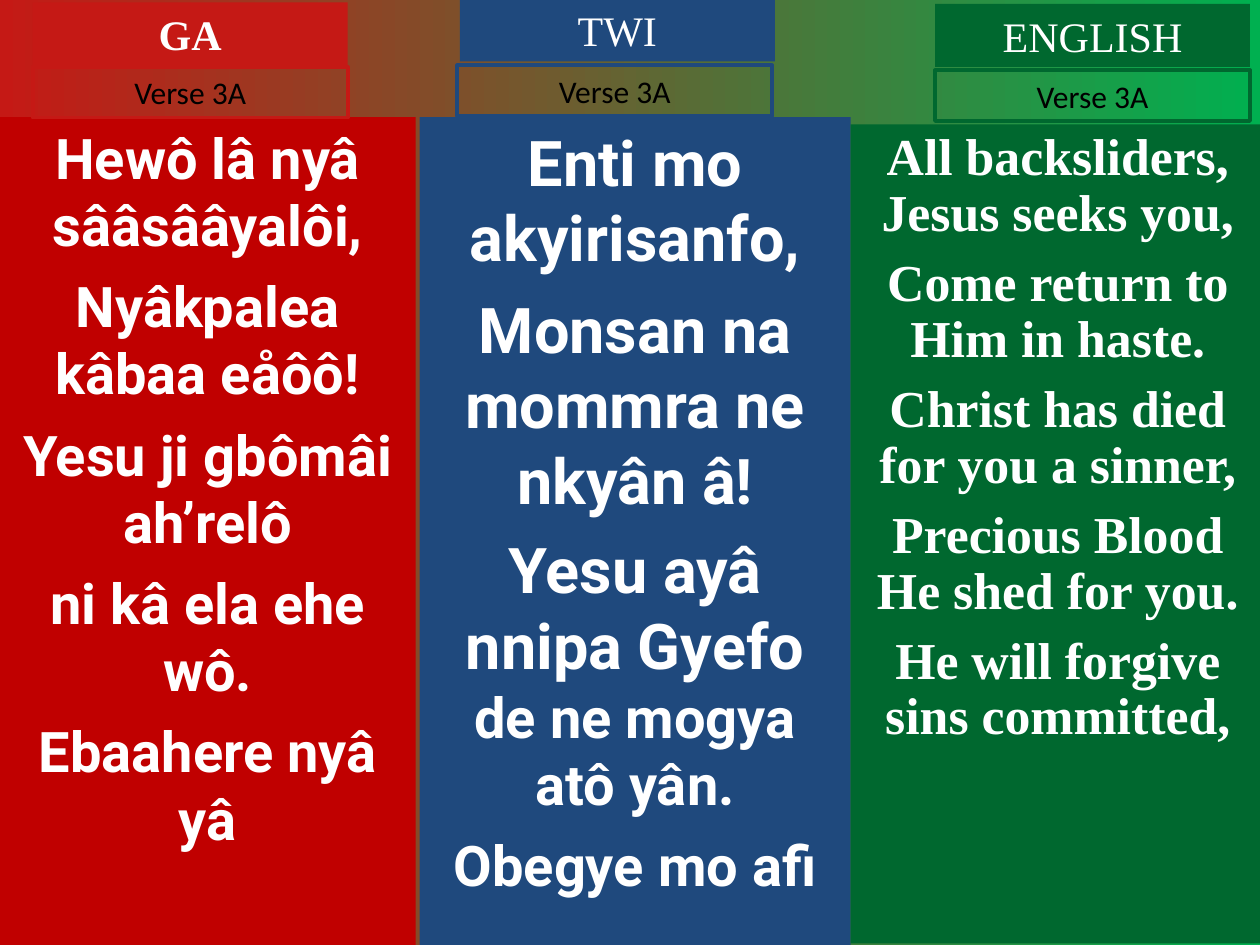
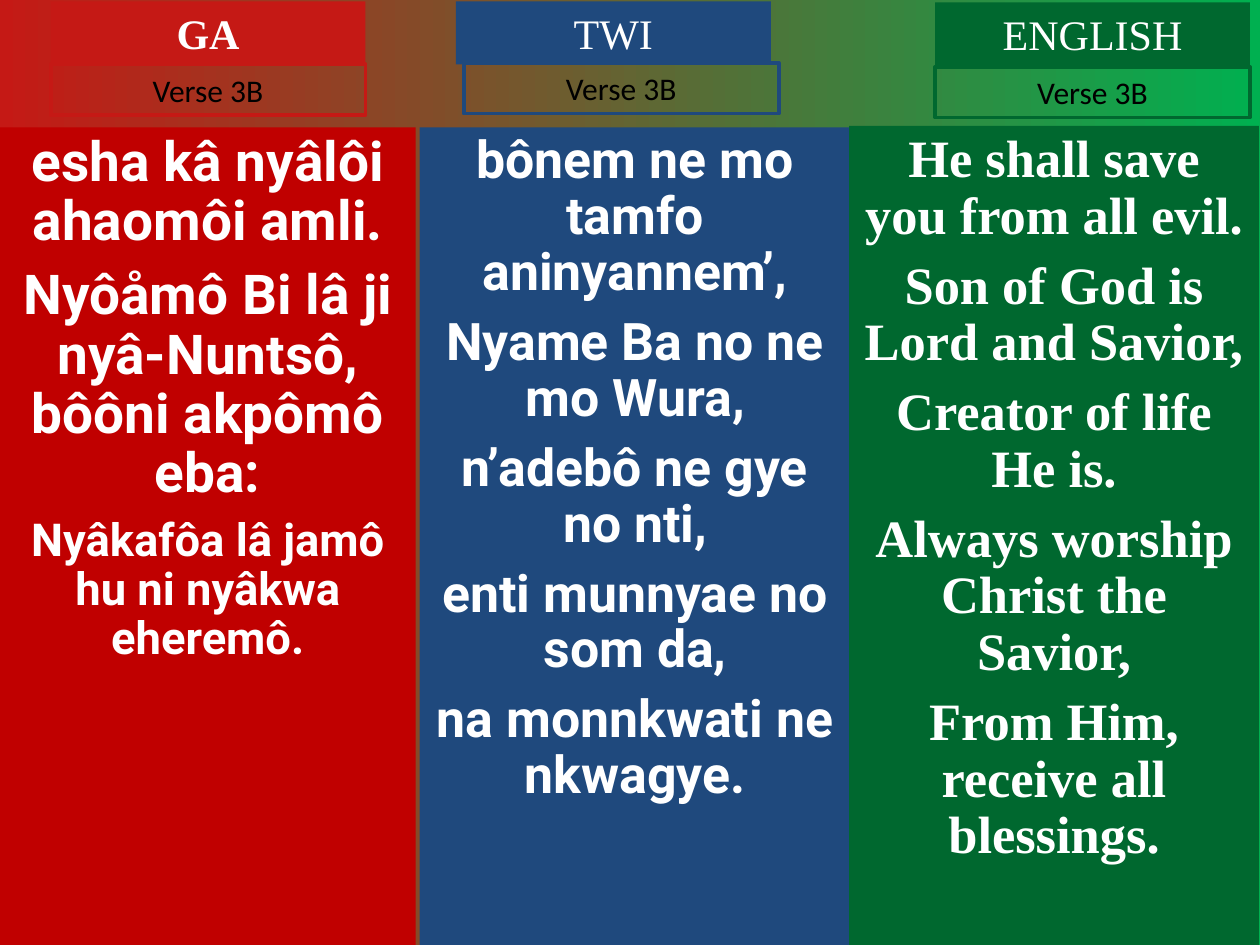
from pptx import Presentation
from pptx.dml.color import RGBColor
from pptx.enum.shapes import MSO_SHAPE
from pptx.enum.text import MSO_ANCHOR, MSO_AUTO_SIZE, PP_ALIGN
from pptx.util import Cm, Pt

# Theme: colours, type sizes and shared measures
THEME = {
    "red": RGBColor(0xC5, 0x19, 0x15),
    "deep_red": RGBColor(0xC0, 0x00, 0x00),
    "blue": RGBColor(0x1F, 0x49, 0x7D),
    "green": RGBColor(0x00, 0x68, 0x2F),
    "bright_green": RGBColor(0x00, 0xB0, 0x50),
    "white": RGBColor(0xFF, 0xFF, 0xFF),
    "black": RGBColor(0x00, 0x00, 0x00),
    "serif": "Times New Roman",
    "sans": "Roboto",
    "label": "Calibri",
    "heading_size": 24,
    "verse_size": 18,
    "frame_width": 2.25,
    "heading_box": (6.35, 1.27),
    "verse_box": (6.35, 1.02),
}

# Columns, left to right: heading, its colour, panel colour, lyric font, bold heading
LANGUAGES = [
    ("GA", THEME["red"], THEME["deep_red"], THEME["sans"], True),
    ("TWI", THEME["blue"], THEME["blue"], THEME["sans"], False),
    ("ENGLISH", THEME["green"], THEME["green"], THEME["serif"], False),
]

# Each lyric line is a list of (text, size) parts; gap is the share of the size left above it
VERSES = [
    ("Verse 3A", [
        {"panel": (0, 2.36, 8.38, 16.69), "heading": (0.66, 0.05), "verse": (0.66, 1.35),
         "spacing": 1.0, "gap": 0.25, "lines": [
            [("Hewô lâ nyâ sââsââyalôi,", 32)],
            [("Nyâkpalea kâbaa eåôô!", 32)],
            [("Yesu ji gbômâi ah’relô", 32)],
            [("ni kâ ela ehe wô.", 32)],
            [("Ebaahere nyâ yâ", 32)]]},
        {"panel": (8.46, 2.36, 8.69, 16.69), "heading": (9.27, -0.03), "verse": (9.22, 1.32),
         "spacing": 1.0, "gap": 0.25, "lines": [
            [("Enti mo akyirisanfo,", 36)],
            [("Monsan na mommra ne nkyân â!", 36)],
            [("Yesu ayâ nnipa Gyefo ", 36), ("de ne mogya atô yân.", 32)],
            [("Obegye mo afi", 32)]]},
        {"panel": (17.15, 2.51, 8.36, 16.51), "heading": (18.85, 0.08), "verse": (18.85, 1.42),
         "spacing": 0.9, "gap": 0.27, "lines": [
            [("All backsliders, Jesus seeks you,", 29.6)],
            [("Come return to Him in haste.", 29.6)],
            [("Christ has died for you a sinner,", 29.6)],
            [("Precious Blood He shed for you.", 29.6)],
            [("He will forgive sins committed,", 29.6)]]},
    ]),
    ("Verse 3B", [
        {"panel": (0, 2.57, 8.38, 16.48), "heading": (1.02, 0.03), "verse": (1.02, 1.3),
         "spacing": 0.9, "gap": 0.27, "lines": [
            [("esha kâ nyâlôi ahaomôi amli.", 31.4)],
            [("Nyôåmô Bi lâ ji nyâ-Nuntsô, bôôni akpômô eba:", 31.4)],
            [("Nyâkafôa lâ jamô hu ni nyâkwa eheremô.", 25.9)]]},
        {"panel": (8.46, 2.57, 8.69, 16.48), "heading": (9.19, 0.03), "verse": (9.35, 1.27),
         "spacing": 0.9, "gap": 0.27, "lines": [
            [("bônem ne mo tamfo aninyannem’,", 29.6)],
            [("Nyame Ba no ne mo Wura,", 29.6)],
            [("n’adebô ne gye no nti,", 29.6)],
            [("enti munnyae no som da,", 29.6)],
            [("na monnkwati ne nkwagye.", 29.6)]]},
        {"panel": (17.12, 2.54, 8.26, 16.54), "heading": (18.85, 0.05), "verse": (18.85, 1.35),
         "spacing": 0.9, "gap": 0.25, "lines": [
            [("He shall save you from all evil.", 30)],
            [("Son of God is Lord and Savior,", 30)],
            [("Creator of life He is.", 30)],
            [("Always worship Christ the Savior,", 30)],
            [("From Him, receive all blessings.", 30)]]},
    ]),
]


def apply_format(target, values):
    for attribute, value in values.items():
        setattr(target, attribute, value)


def add_block(slide, place, lines, font, ink, fill=None, frame=None,
              spacing=1.0, gap=0, fit=MSO_AUTO_SIZE.NONE):
    """Draw a rectangle with centred lines of text."""
    block = slide.shapes.add_shape(MSO_SHAPE.RECTANGLE, *map(Cm, place))
    block.shadow.inherit = False
    if fill is None:
        block.fill.background()
    else:
        block.fill.solid()
        block.fill.fore_color.rgb = fill
    if frame is None:
        block.line.fill.background()
    else:
        block.line.color.rgb = frame
        block.line.width = Pt(THEME["frame_width"])
    text = block.text_frame
    apply_format(text, {"word_wrap": True, "vertical_anchor": MSO_ANCHOR.TOP, "auto_size": fit})
    for number, parts in enumerate(lines):
        paragraph = text.add_paragraph() if number else text.paragraphs[0]
        above = round(parts[-1][1] * gap * 2) / 2 if number else 0
        apply_format(paragraph, {"alignment": PP_ALIGN.CENTER, "line_spacing": spacing,
                                 "space_before": Pt(above)})
        for words, size in parts:
            run = paragraph.add_run()
            run.text = words
            apply_format(run.font, {**font, "size": Pt(size)})
            run.font.color.rgb = ink


deck = Presentation()
apply_format(deck, {"slide_width": Cm(25.4), "slide_height": Cm(19.05)})

for verse, columns in VERSES:
    slide = deck.slides.add_slide(deck.slide_layouts[6])

    # Background fading from red to green
    backdrop = slide.background.fill
    backdrop.gradient()
    backdrop.gradient_angle = 0
    for stop, colour in zip(backdrop.gradient_stops, (THEME["red"], THEME["bright_green"])):
        stop.color.rgb = colour

    for (language, accent, panel_colour, lyric_font, bold), column in zip(LANGUAGES, columns):
        # Lyrics panel
        add_block(slide, column["panel"], column["lines"], {"name": lyric_font, "bold": True},
                  THEME["white"], fill=panel_colour,
                  spacing=column["spacing"], gap=column["gap"])
        # Language heading
        add_block(slide, column["heading"] + THEME["heading_box"],
                  [[(language, THEME["heading_size"])]],
                  {"name": THEME["serif"], "bold": bold}, THEME["white"], fill=accent,
                  fit=MSO_AUTO_SIZE.SHAPE_TO_FIT_TEXT)
        # Verse label
        add_block(slide, column["verse"] + THEME["verse_box"],
                  [[(verse, THEME["verse_size"])]],
                  {"name": THEME["label"], "bold": False}, THEME["black"], frame=accent,
                  fit=MSO_AUTO_SIZE.SHAPE_TO_FIT_TEXT)

deck.save("out.pptx")
